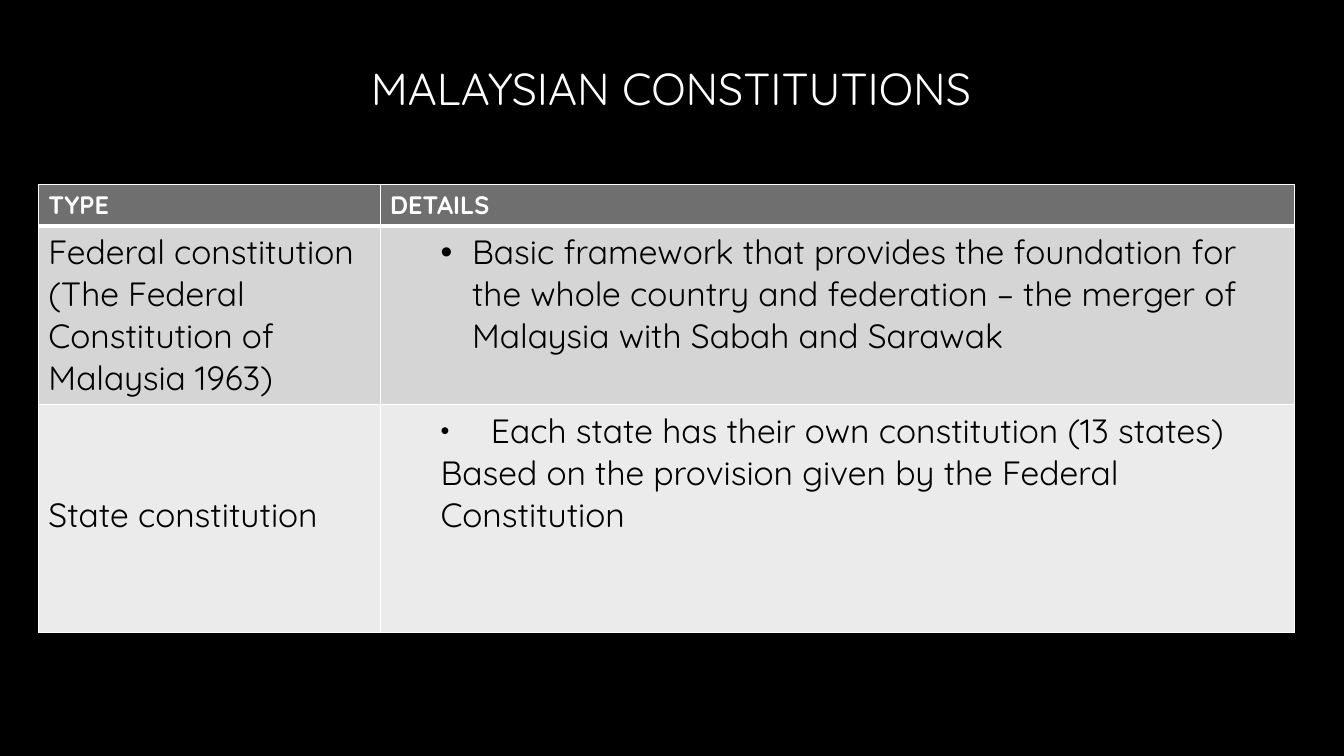
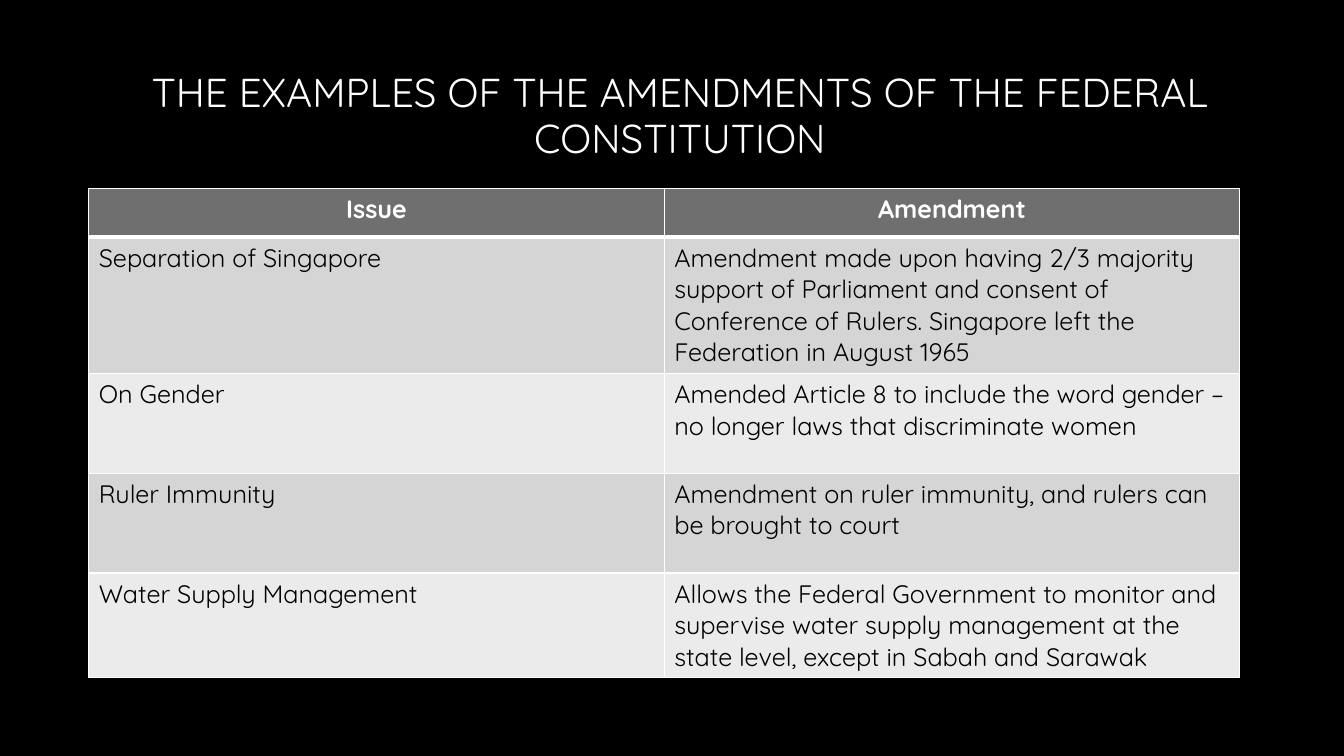
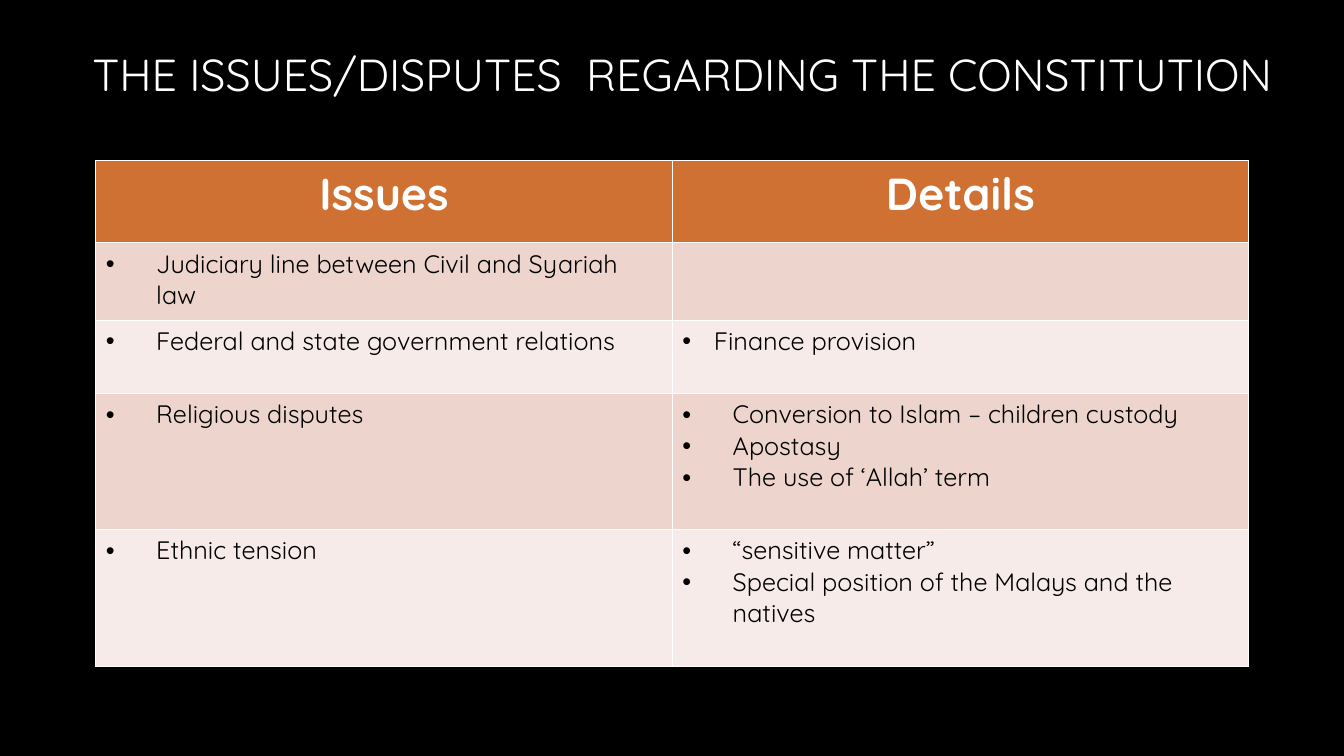
import dataclasses

import pptx
import pptx.dml.color
import pptx.enum.text
import pptx.oxml.ns
import pptx.util
from lxml import etree

Pt = pptx.util.Pt
FONT = "Quicksand"
COLOURS = {
    "background": "000000",
    "title_start": "FFFFFF",
    "title_end": "A6A6A6",
    "border": "FFFFFF",
    "header_text": "FFFFFF",
    "body_text": "000000",
}
GREY = {"header": "6F6F6F", "bands": ("D5D5D5", "EBEBEB")}
ORANGE = {"header": "CF7133", "bands": ("EDD5CE", "F6EBE8")}
CENTER = pptx.enum.text.PP_ALIGN.CENTER
LEFT = pptx.enum.text.PP_ALIGN.LEFT


@dataclasses.dataclass
class Item:
    """A paragraph; a hang above zero gives it a hanging bullet."""
    text: str
    left: float = 0
    hang: float = 0
    bullet_percent: int = 100


@dataclasses.dataclass
class TableStyle:
    palette: dict
    header_size: float = 18
    header_align: int = CENTER
    header_rule: float = 3
    body_size: float = 18


def rgb(name):
    return pptx.dml.color.RGBColor.from_string(COLOURS[name])


def add_child(parent, tag, **attributes):
    child = etree.SubElement(parent, pptx.oxml.ns.qn(tag))
    for name, value in attributes.items():
        child.set(name, str(value))
    return child


def add_title(slide, text, frame, size=32):
    title = slide.shapes.title
    title.left, title.top, title.width, title.height = map(Pt, frame)
    text_frame = title.text_frame
    text_frame.auto_size = pptx.enum.text.MSO_AUTO_SIZE.NONE
    text_frame.word_wrap = True
    text_frame.vertical_anchor = pptx.enum.text.MSO_ANCHOR.MIDDLE
    para = text_frame.paragraphs[0]
    para.alignment = CENTER
    para.line_spacing = 0.95
    span = para.add_run()
    span.text = text
    span.font.name = FONT
    span.font.size = Pt(size)
    fill = span.font.fill
    fill.gradient()
    fill.gradient_angle = 267
    for stop, name in zip(fill.gradient_stops, ("title_start", "title_end")):
        stop.color.rgb = rgb(name)


def set_bullet(para, item):
    properties = para._p.get_or_add_pPr()
    properties.set("marL", str(Pt(item.left)))
    properties.set("indent", str(-Pt(item.hang)))
    if item.hang:
        add_child(properties, "a:buSzPct", val=item.bullet_percent * 1000)
        add_child(properties, "a:buFont", typeface="Arial")
        add_child(properties, "a:buChar", char="•")


def write_cell(cell, items, size, colour, bold=False, align=LEFT):
    for index, item in enumerate(items):
        frame = cell.text_frame
        para = frame.add_paragraph() if index else frame.paragraphs[0]
        if isinstance(item, str):
            item = Item(item)
        set_bullet(para, item)
        para.alignment = align
        span = para.add_run()
        span.text = item.text
        span.font.name = FONT
        span.font.size = Pt(size)
        span.font.bold = bold
        span.font.color.rgb = rgb(colour)


def paint_cell(cell, fill, top=1, bottom=1):
    properties = cell._tc.get_or_add_tcPr()
    for side, width in zip("LRTB", (1, 1, top, bottom)):
        line = add_child(properties, "a:ln" + side, w=Pt(width))
        solid = add_child(line, "a:solidFill")
        add_child(solid, "a:srgbClr", val=COLOURS["border"])
    cell.fill.solid()
    cell.fill.fore_color.rgb = pptx.dml.color.RGBColor.from_string(fill)


def add_table(slide, position, widths, heights, headers, rows, style):
    """Each body cell is a list of strings or Items."""
    left, top = position
    shape = slide.shapes.add_table(
        len(heights), len(widths), Pt(left), Pt(top),
        Pt(sum(widths)), Pt(sum(heights)))
    table = shape.table
    for column, width in zip(table.columns, widths):
        column.width = Pt(width)
    for row, height in zip(table.rows, heights):
        row.height = Pt(height)
    for index, text in enumerate(headers):
        cell = table.cell(0, index)
        paint_cell(cell, style.palette["header"], bottom=style.header_rule)
        write_cell(cell, [text], style.header_size, "header_text",
                   True, style.header_align)
    for number, row in enumerate(rows, start=1):
        band = style.palette["bands"][(number - 1) % 2]
        rule = style.header_rule if number == 1 else 1
        for index, items in enumerate(row):
            cell = table.cell(number, index)
            paint_cell(cell, band, top=rule)
            write_cell(cell, items, style.body_size, "body_text")
    return table


def bullets(*texts):
    return [Item(text, 36, 36) for text in texts]


def build_constitutions(slide):
    add_title(slide, "MALAYSIAN CONSTITUTIONS", (49, 17.3, 861, 93.6))
    rows = [
        (["Federal constitution (The Federal Constitution of Malaysia 1963)"],
         [Item("Basic framework that provides the foundation for the whole "
               "country and federation – the merger of Malaysia with Sabah "
               "and Sarawak", 58.5, 22.5)]),
        (["State constitution"],
         [Item("Each state has their own constitution (13 states)", 72, 36, 75),
          Item("Based on the provision given by the Federal Constitution", 36)]),
    ]
    style = TableStyle(GREY, header_align=LEFT, body_size=24)
    table = add_table(slide, (27.4, 131.8), (244.1, 653), (29.7, 127.2, 162.7),
                      ("TYPE", "DETAILS"), rows, style)
    table.cell(2, 0).margin_top = Pt(63.6)


def build_amendments(slide):
    add_title(slide, "THE EXAMPLES OF THE AMENDMENTS OF THE FEDERAL CONSTITUTION",
              (53.3, 48.2, 864.7, 69.8), 28.8)
    rows = [
        (["Separation of Singapore"],
         ["Amendment made upon having 2/3 majority support of Parliament and "
          "consent of Conference of Rulers. Singapore left the Federation in "
          "August 1965"]),
        (["On Gender"],
         ["Amended Article 8 to include the word gender – no longer laws that "
          "discriminate women"]),
        (["Ruler Immunity"],
         ["Amendment on ruler immunity, and rulers can be brought to court"]),
        (["Water Supply Management"],
         ["Allows the Federal Government to monitor and supervise water supply "
          "management at the state level, except in Sabah and Sarawak"]),
    ]
    add_table(slide, (63.4, 134.6), (411.1, 411.1),
              (34.6, 97.2, 71.3, 71.3, 74.7),
              ("Issue", "Amendment"), rows, TableStyle(GREY))


def build_disputes(slide):
    add_title(slide, "THE ISSUES/DISPUTES  REGARDING THE CONSTITUTION",
              (51.8, 19.4, 871.9, 70.6))
    rows = [
        (bullets("Judiciary line between Civil and Syariah law"), []),
        (bullets("Federal and state government relations"),
         [Item("Finance provision", 22.5, 22.5)]),
        (bullets("Religious disputes"),
         bullets("Conversion to Islam – children custody", "Apostasy",
                 "The use of ‘Allah’ term")),
        (bullets("Ethnic tension"),
         bullets("“sensitive matter”",
                 "Special position of the Malays and the natives")),
    ]
    style = TableStyle(ORANGE, header_size=32, header_rule=1)
    add_table(slide, (68.4, 114.5), (411.8, 411.8),
              (59, 55.4, 52.2, 97.2, 97.9),
              ("Issues", "Details"), rows, style)


def main():
    deck = pptx.Presentation()
    deck.slide_width, deck.slide_height = Pt(960), Pt(540)
    background = deck.slide_master.background.fill
    background.solid()
    background.fore_color.rgb = rgb("background")
    title_only = deck.slide_layouts[5]
    for build in (build_constitutions, build_amendments, build_disputes):
        build(deck.slides.add_slide(title_only))
    deck.save("out.pptx")


if __name__ == "__main__":
    main()
